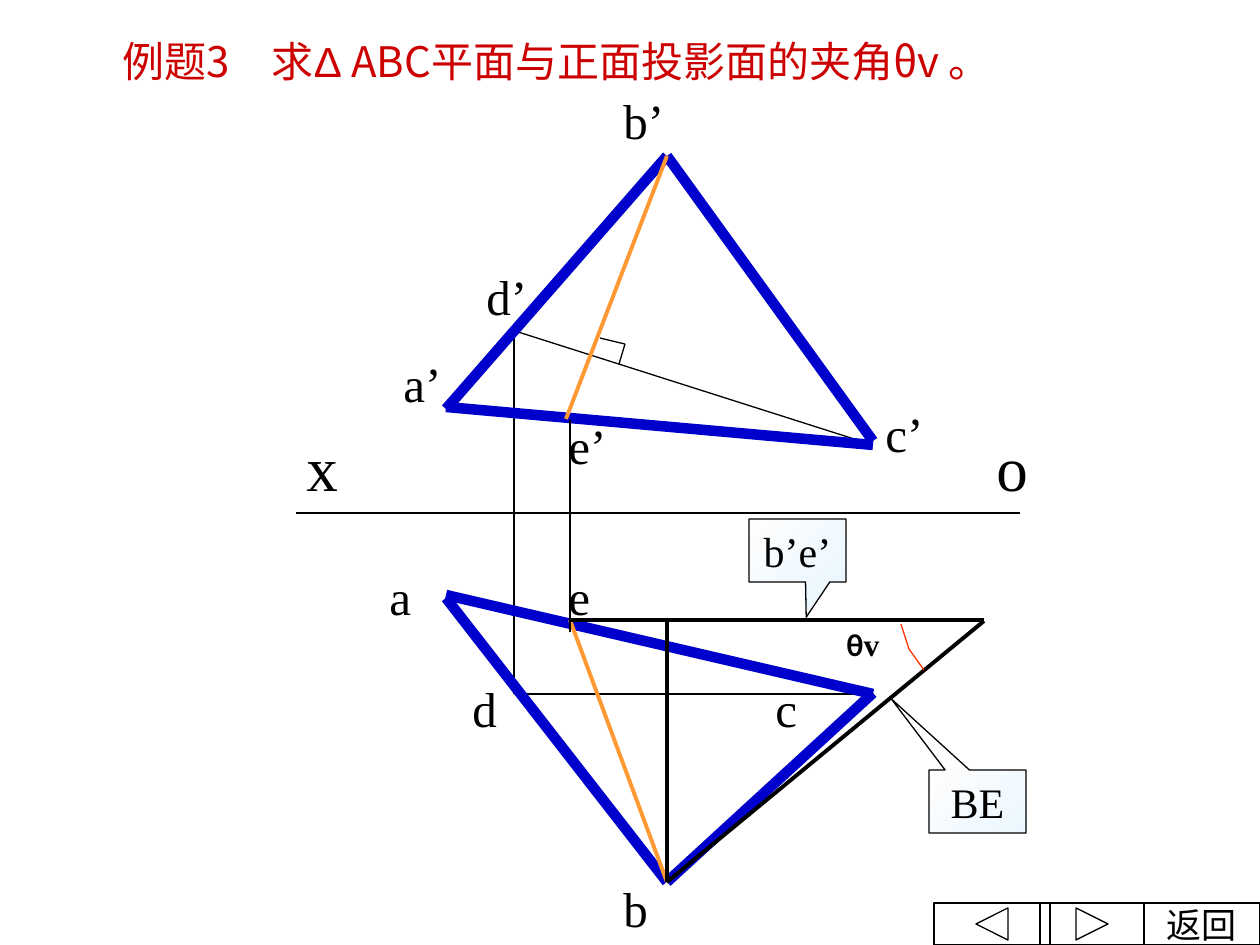
from lxml.etree import SubElement
from pptx import Presentation
from pptx.dml.color import RGBColor
from pptx.enum.shapes import MSO_CONNECTOR as Connector, MSO_SHAPE as Shape
from pptx.enum.text import MSO_ANCHOR as Anchor, MSO_AUTO_SIZE as AutoSize, PP_ALIGN as Align
from pptx.oxml.ns import qn
from pptx.util import Emu, Pt

SCALE = 914400 / 126
SERIF, CJK = "Times New Roman", "Noto Sans CJK JP"
COLORS = {
    "title": "CC0000", "ink": "000000", "triangle": "0000CC", "slope": "FF9933",
    "angle": "FF3300", "callout_dark": "EBF7FF", "callout_light": "FEFEFE",
}
BUTTON_TOP, BUTTON_BOTTOM = 903, 945


def px(*lengths):
    """Turn pixel lengths into EMU."""
    return [Emu(round(length * SCALE)) for length in lengths]


def color(name):
    """Look up a named colour."""
    return RGBColor.from_string(COLORS[name])


def add_text(paragraph, text, size=28, font=SERIF, fill="ink", bold=False):
    """Append a formatted run to a paragraph."""
    run = paragraph.add_run()
    run.text = text
    run.font.size, run.font.name, run.font.bold = Pt(size), font, bold
    run.font.color.rgb = color(fill)
    east_asian = SubElement(run.font._element, qn("a:ea"))
    east_asian.set("typeface", CJK)


def add_title(slide):
    """Fill and place the title placeholder."""
    title = slide.shapes.title
    title.left, title.top, title.width, title.height = px(110, 24, 912, 81)
    frame = title.text_frame
    frame.word_wrap, frame.auto_size = True, AutoSize.NONE
    frame.vertical_anchor = Anchor.MIDDLE
    paragraph = frame.paragraphs[0]
    paragraph.alignment, paragraph.line_spacing = Align.LEFT, 0.86
    for text, font in (("例题3　求", CJK), ("Δ ", "Arial"),
                       ("ABC平面与正面投影面的夹角θv 。", CJK)):
        add_text(paragraph, text, size=24, font=font, fill="title")


def add_label(slide, left, top, *texts, width=97, height=72, **style):
    """Add a text box; each text is a string or a (string, font) pair."""
    frame = slide.shapes.add_textbox(*px(left, top, width, height)).text_frame
    frame.word_wrap, frame.auto_size = True, AutoSize.SHAPE_TO_FIT_TEXT
    for text, font in texts:
        add_text(frame.paragraphs[0], text, font=font, **style)


def add_line(slide, start, end, stroke="ink", weight=0.75):
    """Draw a straight connector without a shadow."""
    line = slide.shapes.add_connector(Connector.STRAIGHT, *px(*start, *end))
    line.line.color.rgb, line.line.width = color(stroke), Pt(weight)
    SubElement(line._element.spPr, qn("a:effectLst"))


def set_outline(shape, stroke="ink"):
    """Give a shape a thin outline and no shadow."""
    shape.shadow.inherit = False
    shape.line.color.rgb, shape.line.width = color(stroke), Pt(0.75)


def add_outline(slide, *contours, close=False, stroke="ink"):
    """Draw one unfilled freeform from lists of points."""
    builder = slide.shapes.build_freeform(*contours[0][0], scale=SCALE)
    for index, (first, *others) in enumerate(contours):
        if index:
            builder.move_to(*first)
        builder.add_line_segments(others, close=close)
    shape = builder.convert_to_shape()
    shape.fill.background()
    set_outline(shape, stroke)
    return shape


def add_centred_text(shape, text, size):
    """Centre one line of text in a shape."""
    frame = shape.text_frame
    frame.word_wrap, frame.vertical_anchor = False, Anchor.MIDDLE
    frame.paragraphs[0].alignment = Align.CENTER
    add_text(frame.paragraphs[0], text, size=size)


def add_callout(slide, left, top, text, tip):
    """Add a gradient callout whose tip is relative to its size."""
    shape = slide.shapes.add_shape(Shape.RECTANGULAR_CALLOUT, *px(left, top, 97, 63))
    shape.adjustments[0], shape.adjustments[1] = tip
    shape.fill.gradient()
    shape.fill.gradient_angle = 135
    for stop, name in zip(shape.fill.gradient_stops, ("callout_dark", "callout_light")):
        stop.color.rgb = color(name)
    set_outline(shape)
    add_centred_text(shape, text, 24)


def add_button(slide, left, right, *symbols):
    """Draw a navigation button with optional symbol contours."""
    border = [(left, BUTTON_TOP), (right, BUTTON_TOP),
              (right, BUTTON_BOTTOM), (left, BUTTON_BOTTOM)]
    return add_outline(slide, border, *symbols, close=True)


def add_projections(slide):
    """Draw the axis, both triangles and their construction lines."""
    for start, end in (((515, 331), (873, 445)), ((873, 694), (515, 694)),
                       ((514, 694), (514, 331)), ((1020, 513), (296, 513))):
        add_line(slide, start, end)
    for start, end in (((446, 598), (667, 882)), ((667, 882), (873, 693)),
                       ((667, 156), (873, 441)), ((446, 409), (667, 156)),
                       ((446, 595), (873, 694)), ((446, 407), (873, 445))):
        add_line(slide, start, end, stroke="triangle", weight=6)
    add_line(slide, (570, 620), (667, 882), stroke="slope", weight=2.25)
    add_outline(slide, [(619, 364), (625, 344)])
    add_outline(slide, [(625, 344), (600, 338)])
    add_line(slide, (667, 156), (566, 419), stroke="slope", weight=2.25)
    for start, end in (((570, 620), (984, 620)), ((667, 882), (667, 620)),
                       ((984, 621), (667, 882))):
        add_line(slide, start, end, weight=2.25)
    add_line(slide, (570, 420), (570, 632))
    add_outline(slide, [(924, 670), (909, 649), (901, 624)], stroke="angle")


def add_labels(slide):
    """Name the points, the axis ends and the angle."""
    for text, left, top in (("d", 460, 672), ("d’", 474, 260), ("a", 377, 560),
                            ("b", 611, 872), ("c", 763, 672), ("a’", 391, 347),
                            ("b’", 611, 84), ("c’", 873, 397), ("e’", 556, 409),
                            ("e", 556, 560)):
        add_label(slide, left, top, (text, SERIF))
    for text, left, width in (("x", 294, 49), ("o", 984, 115)):
        add_label(slide, left, 422, (text, SERIF), width=width, height=88, size=36)
    add_label(slide, 834, 619, ("θ", "Calibri"), ("v", SERIF),
              width=135, height=50, size=18, bold=True)


def main():
    """Build the slide and save it."""
    presentation = Presentation()
    presentation.slide_width, presentation.slide_height = px(1260, 945)
    slide = presentation.slides.add_slide(presentation.slide_layouts[5])
    add_title(slide)
    add_projections(slide)
    add_labels(slide)
    add_callout(slide, 749, 519, "b’e’", (0.09, 1.06))
    add_callout(slide, 929, 770, "BE", (-0.89, -1.63))
    add_centred_text(add_button(slide, 1144, 1260), "返回", 20)
    add_button(slide, 934, 1050, [(976, 924), (1008, 908), (1008, 940)])
    add_button(slide, 1040, 1144, [(1076, 908), (1108, 924), (1076, 940)])
    presentation.save("out.pptx")


if __name__ == "__main__":
    main()
